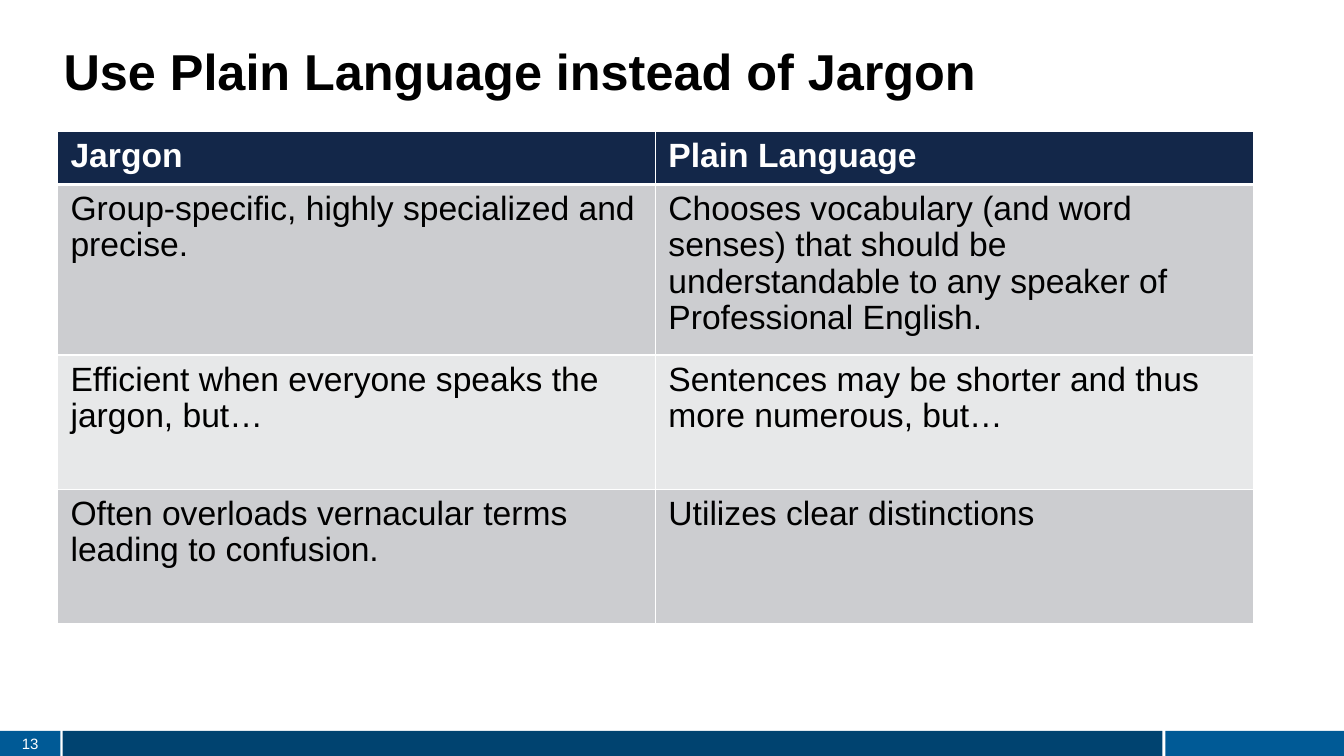
from pptx import Presentation
from pptx.dml.color import RGBColor
from pptx.enum.shapes import MSO_SHAPE as Shape
from pptx.enum.text import MSO_ANCHOR as Anchor, PP_ALIGN as Align
from pptx.oxml import parse_xml
from pptx.oxml.ns import nsdecls
from pptx.util import Inches, Pt

WHITE = RGBColor(0xFF, 0xFF, 0xFF)
BLACK = RGBColor(0, 0, 0)
NAVY = RGBColor(0x13, 0x27, 0x49)
DARK = RGBColor(0xCC, 0xCD, 0xD0)
LIGHT = RGBColor(0xE7, 0xE8, 0xE9)
BLUE = RGBColor(0x00, 0x5A, 0x96)
DEEP = RGBColor(0x00, 0x43, 0x70)

ROWS = [
    ("Jargon", "Plain Language"),
    ("Group-specific, highly specialized and precise.",
     "Chooses vocabulary (and word senses) that should be understandable "
     "to any speaker of Professional English."),
    ("Efficient when everyone speaks the jargon, but…",
     "Sentences may be shorter and thus more numerous, but…"),
    ("Often overloads vernacular terms leading to confusion.",
     "Utilizes clear distinctions"),
]


def put_text(frame, text, size=24, color=BLACK, bold=False,
             align=Align.LEFT, space=None):
    para = frame.paragraphs[0]
    para.alignment = align
    para.line_spacing = space
    run = para.add_run()
    run.text = text
    font = run.font
    font.name, font.size, font.bold = "Arial", Pt(size), bold
    font.color.rgb = color


def set_pad(item, side, edge):
    item.margin_left = item.margin_right = Inches(side)
    item.margin_top = item.margin_bottom = Inches(edge)


def add_bar(slide, left, width, color):
    bar = slide.shapes.add_shape(Shape.RECTANGLE, Inches(left), Inches(7.25),
                                 Inches(width), Inches(0.25))
    bar.shadow.inherit = False
    bar.fill.solid()
    bar.fill.fore_color.rgb = color
    bar.line.fill.background()
    return bar


def add_title(slide, text):
    box = slide.shapes.add_textbox(Inches(0.56), Inches(0.3),
                                   Inches(12.11), Inches(0.7))
    frame = box.text_frame
    frame.word_wrap = True
    set_pad(frame, 0.07, 0.1)
    put_text(frame, text, size=36, bold=True)


def set_edges(cell, **widths):
    props = cell._tc.get_or_add_tcPr()
    for side in "LRTB":
        width = Pt(widths.get(side, 1))
        props.append(parse_xml(
            f'<a:ln{side} {nsdecls("a")} w="{width}"><a:solidFill>'
            f'<a:srgbClr val="{WHITE}"/></a:solidFill></a:ln{side}>'))


def add_grid(slide):
    heights = [0.53, 1.33, 1.33, 1.33]
    table = slide.shapes.add_table(
        len(ROWS), 2, Inches(0.57), Inches(1.3),
        Inches(11.85), Inches(sum(heights))).table
    for col in table.columns:
        col.width = Inches(5.93)
    for i, (texts, height) in enumerate(zip(ROWS, heights)):
        table.rows[i].height = Inches(height)
        head = i == 0
        for j, text in enumerate(texts):
            cell = table.cell(i, j)
            set_pad(cell, 0.13, 0.07)
            set_edges(cell, T=3 if i == 1 else 1, B=3 if head else 1)
            cell.fill.solid()
            cell.fill.fore_color.rgb = (
                NAVY if head else DARK if i % 2 else LIGHT)
            put_text(cell.text_frame, text, color=WHITE if head else BLACK,
                     bold=head, space=0.97)


def main():
    deck = Presentation()
    deck.slide_width, deck.slide_height = Inches(13.33), Inches(7.5)
    slide = deck.slides.add_slide(deck.slide_layouts[6])

    # Footer bars and page number
    page = add_bar(slide, 0, 0.6, BLUE)
    add_bar(slide, 0.62, 10.91, DEEP)
    add_bar(slide, 11.56, 1.77, BLUE)
    frame = page.text_frame
    set_pad(frame, 0.13, 0.07)
    frame.vertical_anchor = Anchor.MIDDLE
    put_text(frame, "13", size=10.7, color=WHITE, align=Align.CENTER)

    # Title and comparison table
    add_title(slide, "Use Plain Language instead of Jargon")
    add_grid(slide)

    deck.save("out.pptx")


if __name__ == "__main__":
    main()
